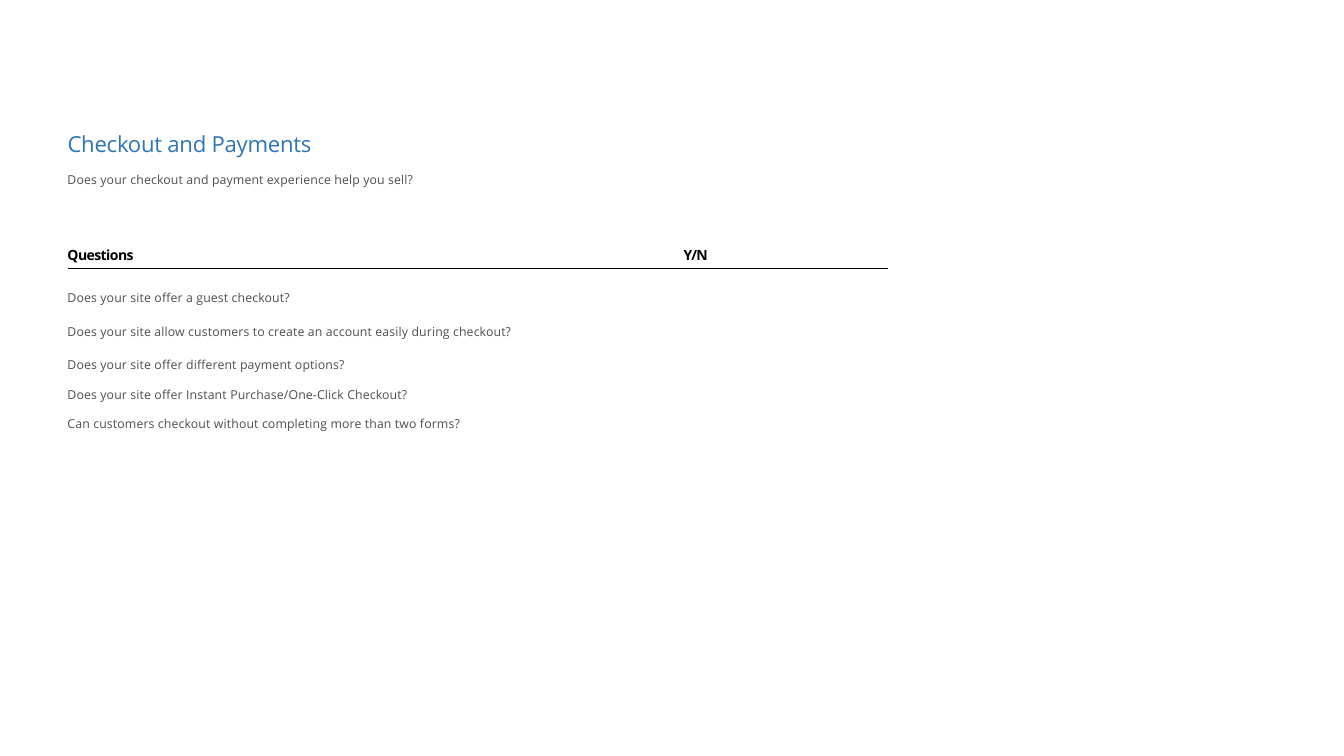
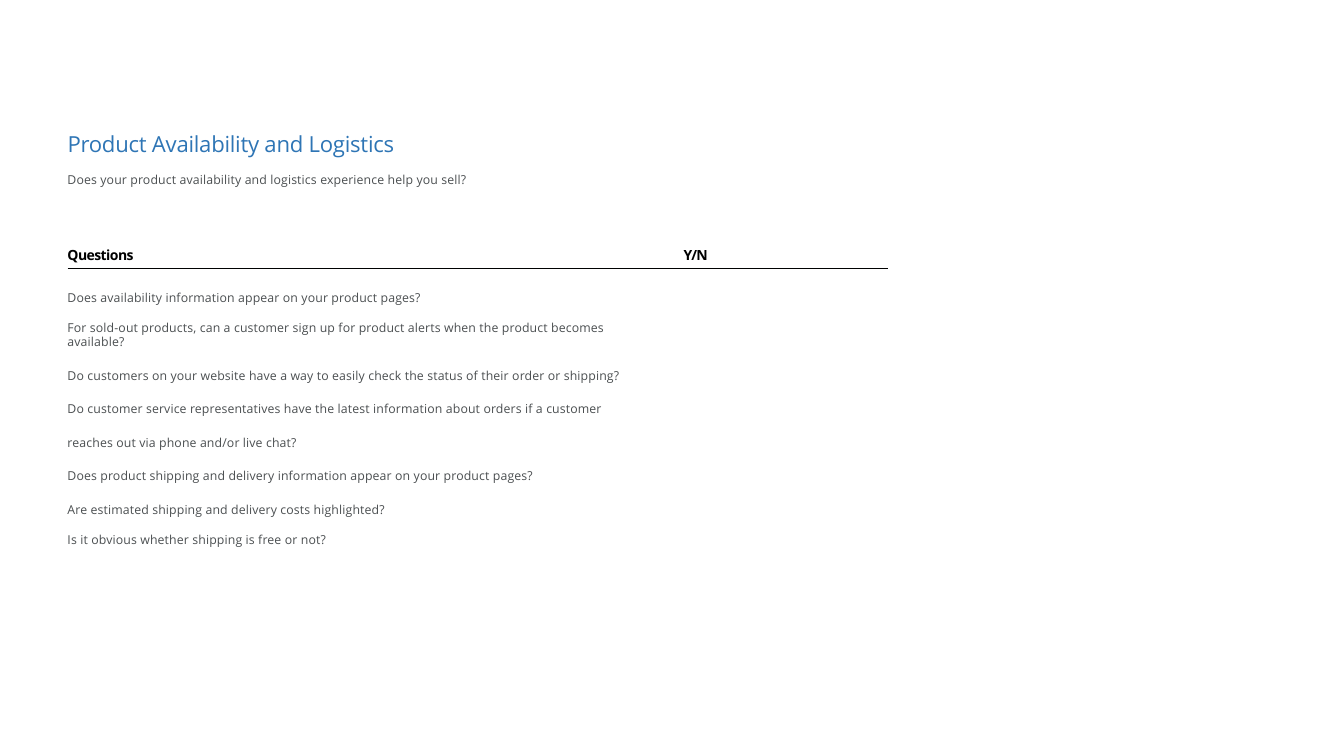
from lxml import etree
from pptx import Presentation
from pptx.dml.color import RGBColor
from pptx.enum import shapes, text
from pptx.oxml import ns
from pptx.util import Inches, Pt

COLORS = {"title": "2E75B5", "body": "4B4F51", "heading": "000000", "rule": "000101"}
FONT = "Open Sans"
LEFT = 0.66
RULE_LEFT, RULE_RIGHT, RULE_TOP = 0.67, 8.81, 2.66

# Each question is paired with its spacing: "first", "tight" or "open".
SPACING = {"first": (0, 1), "tight": (10.6, 1), "open": (0, 2.27)}
CHECKLISTS = [
    {
        "title": "Checkout and Payments",
        "subtitle": "Does your checkout and payment experience help you sell?",
        "width": 4.5,
        "height": 1.46,
        "questions": [
            ("Does your site offer a guest checkout?", "first"),
            ("Does your site allow customers to create an account easily during checkout?", "open"),
            ("Does your site offer different payment options?", "open"),
            ("Does your site offer Instant Purchase/One-Click Checkout?", "tight"),
            ("Can customers checkout without completing more than two forms?", "tight"),
        ],
    },
    {
        "title": "Product Availability and Logistics",
        "subtitle": "Does your product availability and logistics experience help you sell?",
        "width": 5.56,
        "height": 2.63,
        "questions": [
            ("Does availability information appear on your product pages?", "first"),
            ("For sold-out products, can a customer sign up for product alerts "
             "when the product becomes available?", "tight"),
            ("Do customers on your website have a way to easily check the status "
             "of their order or shipping?", "open"),
            ("Do customer service representatives have the latest information about "
             "orders if a customer reaches out via phone and/or live chat?", "open"),
            ("Does product shipping and delivery information appear on your product pages?", "open"),
            ("Are estimated shipping and delivery costs highlighted?", "open"),
            ("Is it obvious whether shipping is free or not?", "tight"),
        ],
    },
]


def write(paragraph, words, size=8.8, color="body", bold=False, tracking=0.1, spacing="first"):
    """Put formatted words into a paragraph."""
    before, line_spacing = SPACING[spacing]
    paragraph.alignment = text.PP_ALIGN.LEFT
    paragraph.space_before = Pt(before)
    paragraph.line_spacing = line_spacing
    run = paragraph.add_run()
    run.text = words
    run.font.name = FONT
    run.font.size = Pt(size)
    run.font.bold = bold
    run.font.color.rgb = RGBColor.from_string(COLORS[color])
    run.font._element.set("spc", str(round(tracking * 100)))


def place(shape, left, top, width, height, anchor=text.MSO_ANCHOR.TOP):
    """Position a text shape, set its margins and return its text frame."""
    shape.left, shape.top = Inches(left), Inches(top)
    shape.width, shape.height = Inches(width), Inches(height)
    frame = shape.text_frame
    frame.word_wrap = True
    frame.auto_size = text.MSO_AUTO_SIZE.NONE
    frame.vertical_anchor = anchor
    frame.margin_left = frame.margin_top = Inches(0.01)
    frame.margin_right = frame.margin_bottom = 0
    return frame


presentation = Presentation()
presentation.slide_width, presentation.slide_height = Inches(13.33), Inches(7.5)
title_only = presentation.slide_layouts[5]

for checklist in CHECKLISTS:
    slide = presentation.slides.add_slide(title_only)

    frame = place(slide.shapes.title, LEFT, 1.28, 3.5, 0.28, text.MSO_ANCHOR.MIDDLE)
    write(frame.paragraphs[0], checklist["title"], size=15.8, color="title", tracking=-0.2)

    labels = [
        (checklist["subtitle"], LEFT, 1.7, 4.1, 0.16, {}),
        ("Questions", LEFT, 2.44, 0.7, 0.18, {"size": 10, "color": "heading", "bold": True, "tracking": -0.4}),
        ("Y/N", 6.77, 2.44, 0.3, 0.18, {"size": 10, "color": "heading", "bold": True, "tracking": -0.6}),
    ]
    for words, left, top, width, height, style in labels:
        frame = place(slide.shapes.add_textbox(0, 0, 0, 0), left, top, width, height)
        write(frame.paragraphs[0], words, **style)

    rule = slide.shapes.add_connector(
        shapes.MSO_CONNECTOR.STRAIGHT,
        Inches(RULE_LEFT), Inches(RULE_TOP), Inches(RULE_RIGHT), Inches(RULE_TOP))
    rule.line.color.rgb = RGBColor.from_string(COLORS["rule"])
    rule.line.width = Pt(0.82)
    etree.SubElement(rule._element.spPr, ns.qn("a:effectLst"))

    frame = place(slide.shapes.add_textbox(0, 0, 0, 0),
                  LEFT, 2.87, checklist["width"], checklist["height"])
    for index, (question, spacing) in enumerate(checklist["questions"]):
        paragraph = frame.add_paragraph() if index else frame.paragraphs[0]
        write(paragraph, question, spacing=spacing)

presentation.save("out.pptx")
